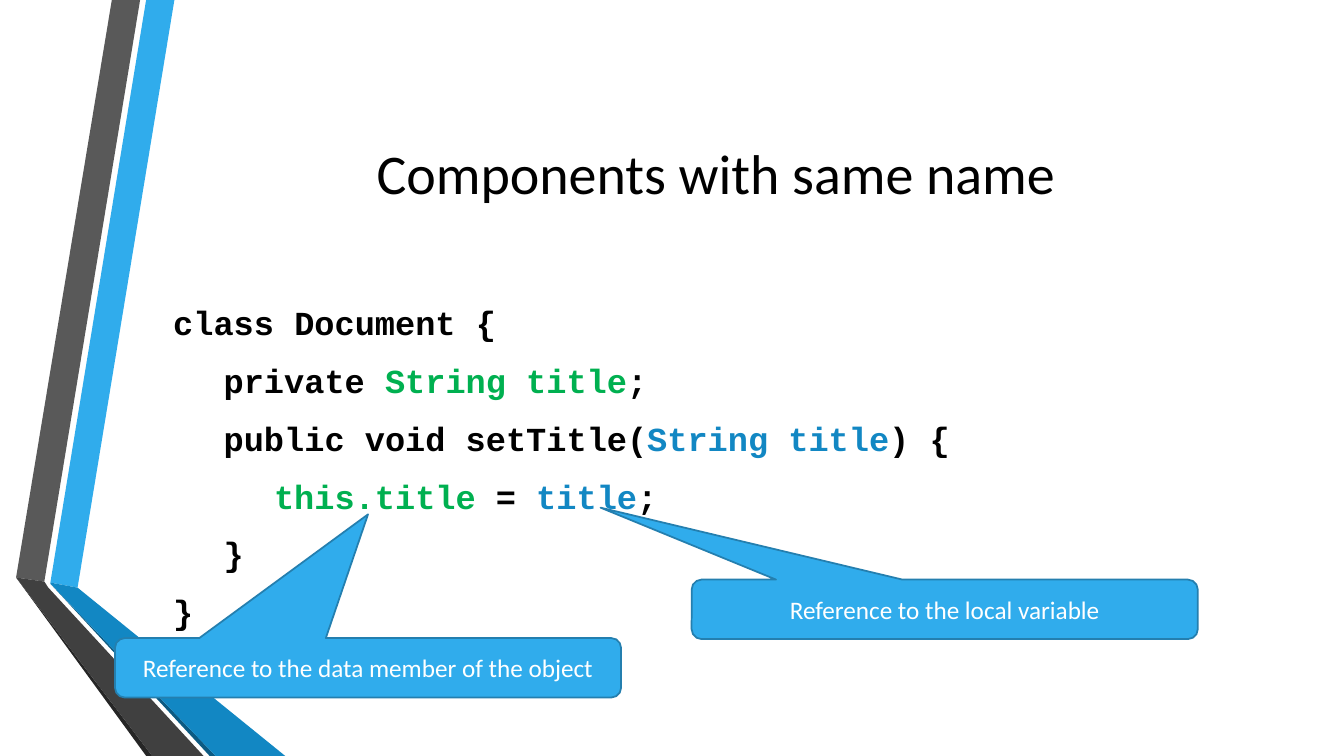
from lxml.etree import SubElement
from pptx import Presentation
from pptx.dml.color import RGBColor
from pptx.enum.shapes import MSO_SHAPE
from pptx.enum.text import MSO_ANCHOR, PP_ALIGN
from pptx.oxml.ns import qn
from pptx.util import Inches, Pt

# Content
TITLE = "Components with same name"
BLACK, MEMBER, LOCAL = "000000", "00B050", "1287C3"
CODE = [
    [("class Document {", BLACK)],
    [("\tprivate ", BLACK), ("String title", MEMBER), (";", BLACK)],
    [("\tpublic void setTitle(", BLACK), ("String title", LOCAL), (") {", BLACK)],
    [("\t\t", BLACK), ("this.title", MEMBER), (" = ", BLACK),
     ("title", LOCAL), (";", BLACK)],
    [("\t}", BLACK)],
    [("}", BLACK)],
]
# Text, left, top, pointer offset from the centre
CALLOUTS = [
    ("Reference to the data member of the object", 1.14, 6.33, (0, -2.58)),
    ("Reference to the local variable", 6.86, 5.75, (-0.68, -1.71)),
]
# Fill, corner points
RIBBONS = [
    ("30ACEC", [(0.5, 5.78), (0.77, 5.83), (1.73, 0), (1.45, 0)]),
    ("595959", [(1.39, 0), (1.11, 0), (0.16, 5.73), (0.44, 5.77)]),
    ("262626", [(0.16, 5.73), (1.45, 7.5), (1.51, 7.5)]),
    ("0C5A82", [(0.5, 5.79), (2.08, 7.5), (2.14, 7.5)]),
    ("1287C3", [(0.5, 5.79), (2.14, 7.5), (2.83, 7.5), (0.77, 5.83), (0.5, 5.78)]),
    ("404040", [(2.02, 7.5), (0.48, 5.83), (0.44, 5.77), (0.16, 5.73), (1.51, 7.5)]),
]
TEXT_LEFT, TEXT_WIDTH = 1.62, 10.96
TAB_STEP = 0.5


def color(hex_code):
    return RGBColor.from_string(hex_code)


def paint(shape, fill, line=None):
    shape.shadow.inherit = False
    shape.fill.solid()
    shape.fill.fore_color.rgb = color(fill)
    if line:
        shape.line.color.rgb = color(line)
        shape.line.width = Pt(1.25)
    else:
        shape.line.fill.background()


def set_font(paragraph, name, size, hex_code):
    font = paragraph.font
    font.name, font.size = name, Pt(size)
    font.color.rgb = color(hex_code)


def add_frame(top, height):
    box = slide.shapes.add_textbox(
        Inches(TEXT_LEFT), Inches(top), Inches(TEXT_WIDTH), Inches(height))
    frame = box.text_frame
    frame.word_wrap = True
    frame.vertical_anchor = MSO_ANCHOR.MIDDLE
    return frame


def add_tab_stops(paragraph, count):
    stops = SubElement(paragraph._p.get_or_add_pPr(), qn("a:tabLst"))
    for number in range(1, count + 1):
        SubElement(stops, qn("a:tab"), pos=str(Inches(TAB_STEP * number)), algn="l")


prs = Presentation()
prs.slide_width, prs.slide_height = Inches(13.33), Inches(7.5)
slide = prs.slides.add_slide(prs.slide_layouts[6])

# Folded ribbons on the left
for fill, points in RIBBONS:
    corners = [(Inches(x), Inches(y)) for x, y in points]
    builder = slide.shapes.build_freeform(*corners[0])
    builder.add_line_segments(corners[1:], close=True)
    paint(builder.convert_to_shape(), fill)

# Title
heading = add_frame(0.75, 1.92).paragraphs[0]
heading.text = TITLE
heading.alignment = PP_ALIGN.CENTER
set_font(heading, "Calibri", 40, BLACK)

# Code
code_frame = add_frame(2.92, 3.42)
for index, pieces in enumerate(CODE):
    code_line = code_frame.add_paragraph() if index else code_frame.paragraphs[0]
    code_line.space_before = Pt(6.5 if index else 0)
    code_line.space_after = Pt(6)
    add_tab_stops(code_line, 2)
    set_font(code_line, "Courier New", 24, BLACK)
    code_line.font.bold = True
    for text, hex_code in pieces:
        run = code_line.add_run()
        run.text = text
        if hex_code != BLACK:
            run.font.color.rgb = color(hex_code)

# Callouts
for text, left, top, pointer in CALLOUTS:
    callout = slide.shapes.add_shape(
        MSO_SHAPE.ROUNDED_RECTANGULAR_CALLOUT,
        Inches(left), Inches(top), Inches(5.02), Inches(0.59))
    callout.adjustments[0], callout.adjustments[1] = pointer
    paint(callout, "30ACEC", "247FAF")
    callout.text_frame.word_wrap = True
    callout.text_frame.vertical_anchor = MSO_ANCHOR.MIDDLE
    label = callout.text_frame.paragraphs[0]
    label.text = text
    label.alignment = PP_ALIGN.CENTER
    set_font(label, "Calibri", 18, "FFFFFF")

prs.save("out.pptx")
